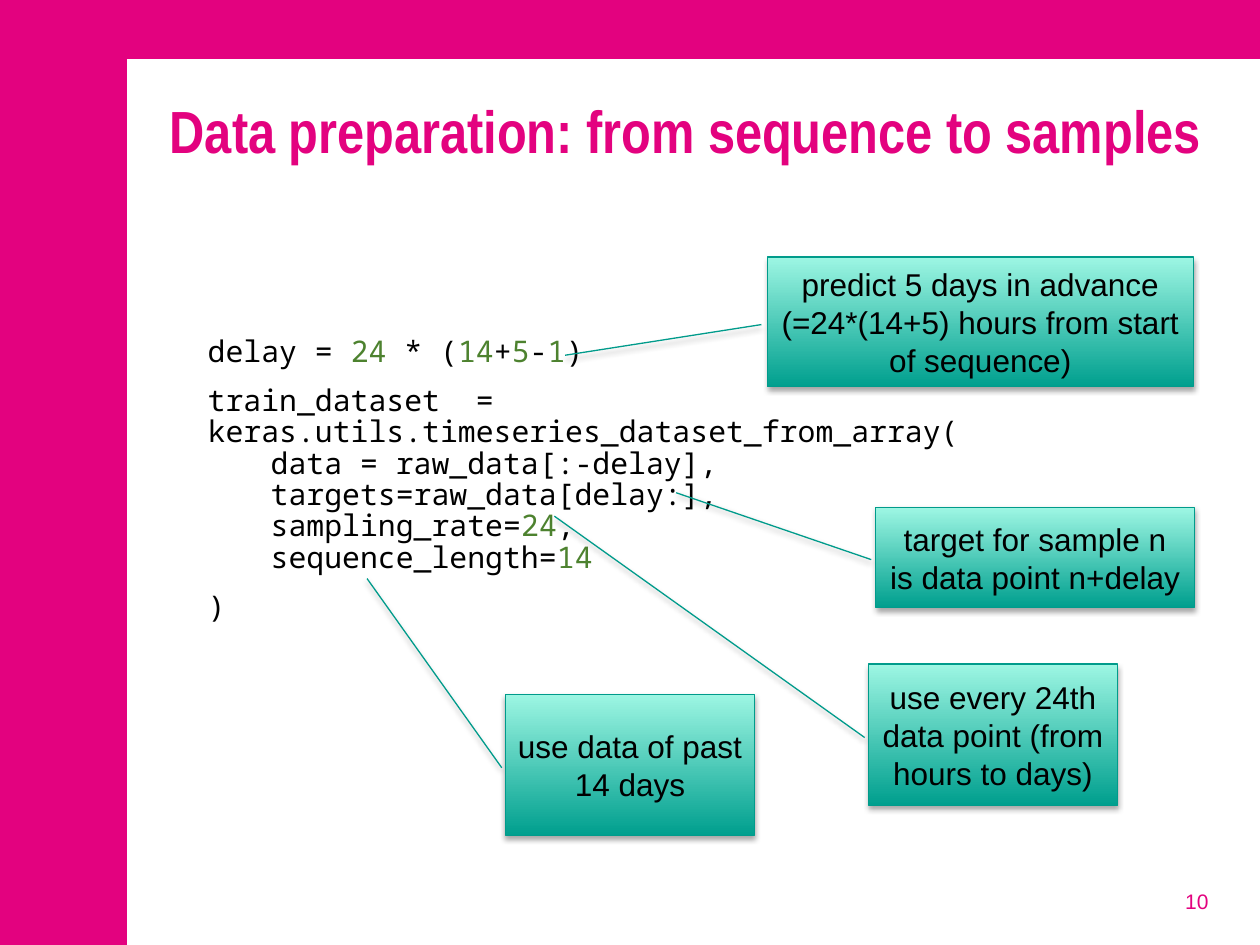
from itertools import groupby

from lxml.etree import SubElement
from pptx import Presentation
from pptx.dml.color import RGBColor
from pptx.enum.shapes import MSO_SHAPE as Preset
from pptx.enum.text import MSO_ANCHOR as Anchor, PP_ALIGN as Align
from pptx.oxml.ns import qn
from pptx.util import Pt

PINK = RGBColor(0xE3, 0x02, 0x7F)
WHITE = RGBColor(0xFF, 0xFF, 0xFF)
BLACK = RGBColor(0x00, 0x00, 0x00)
GREEN = RGBColor(0x4D, 0x82, 0x2F)
TEAL_DARK = RGBColor(0x00, 0x9F, 0x8E)
TEAL_LIGHT = RGBColor(0x9D, 0xF6, 0xE3)
TEAL_LINE = RGBColor(0x00, 0x9B, 0x8B)

CODE = [
    "delay = 24 * (14+5-1)",
    "train_dataset  = keras.utils.timeseries_dataset_from_array(\n"
    "\tdata = raw_data[:-delay],\n"
    "\ttargets=raw_data[delay:],\n"
    "\tsampling_rate=24,\n"
    "\tsequence_length=14",
    ")",
]

CALLOUTS = [
    ("target for sample n is data point n+delay",
     (500.4, 290.16, 182.16, 56.88), (-0.151, -0.626)),
    ("predict 5 days in advance (=24*(14+5) hours from start of sequence)",
     (438.48, 146.88, 243.36, 74.16), (0.757, -0.475)),
    ("use every 24th data point (from hours to days)",
     (496.08, 379.44, 142.56, 80.64), (-1.048, -1.258)),
    ("use data of past 14 days",
     (288.72, 396.72, 142.56, 80.64), (-0.82, -0.554)),
]


def style(span, font, size, color, bold=False):
    span.font.name = font
    span.font.size = Pt(size)
    span.font.color.rgb = color
    span.font.bold = bold


def add_text_box(page, box):
    frame = page.shapes.add_textbox(*map(Pt, box)).text_frame
    frame.word_wrap = True
    return frame


def add_background(page, box):
    page.background.fill.solid()
    page.background.fill.fore_color.rgb = PINK
    panel = page.shapes.add_shape(Preset.RECTANGLE, *map(Pt, box))
    panel.shadow.inherit = False
    panel.fill.solid()
    panel.fill.fore_color.rgb = WHITE
    panel.line.fill.background()


def add_title(page, box, text):
    frame = add_text_box(page, box)
    frame.text = text
    style(frame.paragraphs[0].runs[0], "Arial Narrow", 34, PINK, True)


def add_page_number(page, box, number):
    frame = add_text_box(page, box)
    frame.vertical_anchor = Anchor.MIDDLE
    frame.text = str(number)
    para = frame.paragraphs[0]
    para.alignment = Align.RIGHT
    style(para.runs[0], "Arial", 12, PINK)


def add_code(page, box, blocks):
    frame = add_text_box(page, box)
    frame.margin_top = Pt(32.8)
    for index, block in enumerate(blocks):
        para = frame.add_paragraph() if index else frame.paragraphs[0]
        para.line_spacing = 0.88
        para.space_before = Pt(4)
        para.space_after = Pt(6)
        tabs = SubElement(para._p.get_or_add_pPr(), qn("a:tabLst"))
        SubElement(tabs, qn("a:tab"), pos=str(Pt(36)), algn="l")
        for row, line in enumerate(block.split("\n")):
            if row:
                para.add_line_break()
            for is_number, letters in groupby(line, str.isdigit):
                span = para.add_run()
                span.text = "".join(letters)
                style(span, "Noto Sans Mono", 17, GREEN if is_number else BLACK)


def add_shadow(shape):
    shape.shadow.inherit = False
    effects = shape._element.spPr.find(qn("a:effectLst"))
    shadow = SubElement(effects, qn("a:outerShdw"), blurRad=str(Pt(3.1)),
                        dist=str(Pt(1.8)), dir="5400000", rotWithShape="0")
    color = SubElement(shadow, qn("a:srgbClr"), val=str(BLACK))
    SubElement(color, qn("a:alpha"), val="35000")


def add_callout(page, box, text, target):
    callout = page.shapes.add_shape(Preset.LINE_CALLOUT_1, *map(Pt, box))
    for index, value in enumerate((0.521, -0.014, *target)):
        callout.adjustments[index] = value
    callout.fill.gradient()
    callout.fill.gradient_angle = 90
    for stop, color, position in zip(callout.fill.gradient_stops,
                                     (TEAL_DARK, TEAL_LIGHT), (0, 1)):
        stop.color.rgb = color
        stop.position = position
    callout.line.color.rgb = TEAL_LINE
    callout.line.width = Pt(0.75)
    add_shadow(callout)
    frame = callout.text_frame
    frame.word_wrap = True
    frame.vertical_anchor = Anchor.MIDDLE
    frame.text = text
    para = frame.paragraphs[0]
    para.alignment = Align.CENTER
    style(para.runs[0], "Arial", 18, BLACK)


def main():
    deck = Presentation()
    deck.slide_width, deck.slide_height = Pt(720), Pt(540)
    page = deck.slides.add_slide(deck.slide_layouts[6])
    add_background(page, (72.72, 33.84, 647.28, 506.16))
    add_title(page, (90, 50.4, 607.68, 96.48),
              "Data preparation: from sequence to samples")
    add_code(page, (111.6, 159.84, 607.68, 348.48), CODE)
    add_page_number(page, (529.92, 500.4, 167.76, 28.8), 10)
    for text, box, target in CALLOUTS:
        add_callout(page, box, text, target)
    deck.save("out.pptx")


if __name__ == "__main__":
    main()
